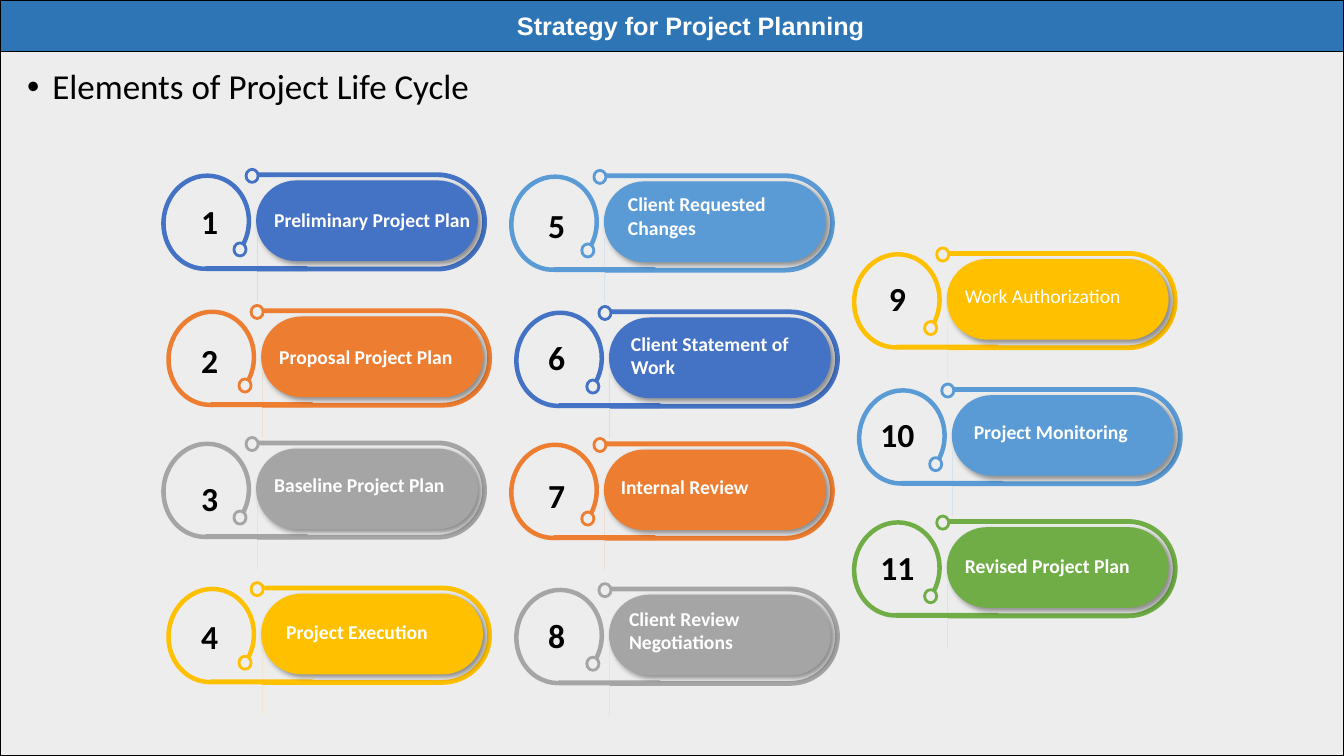
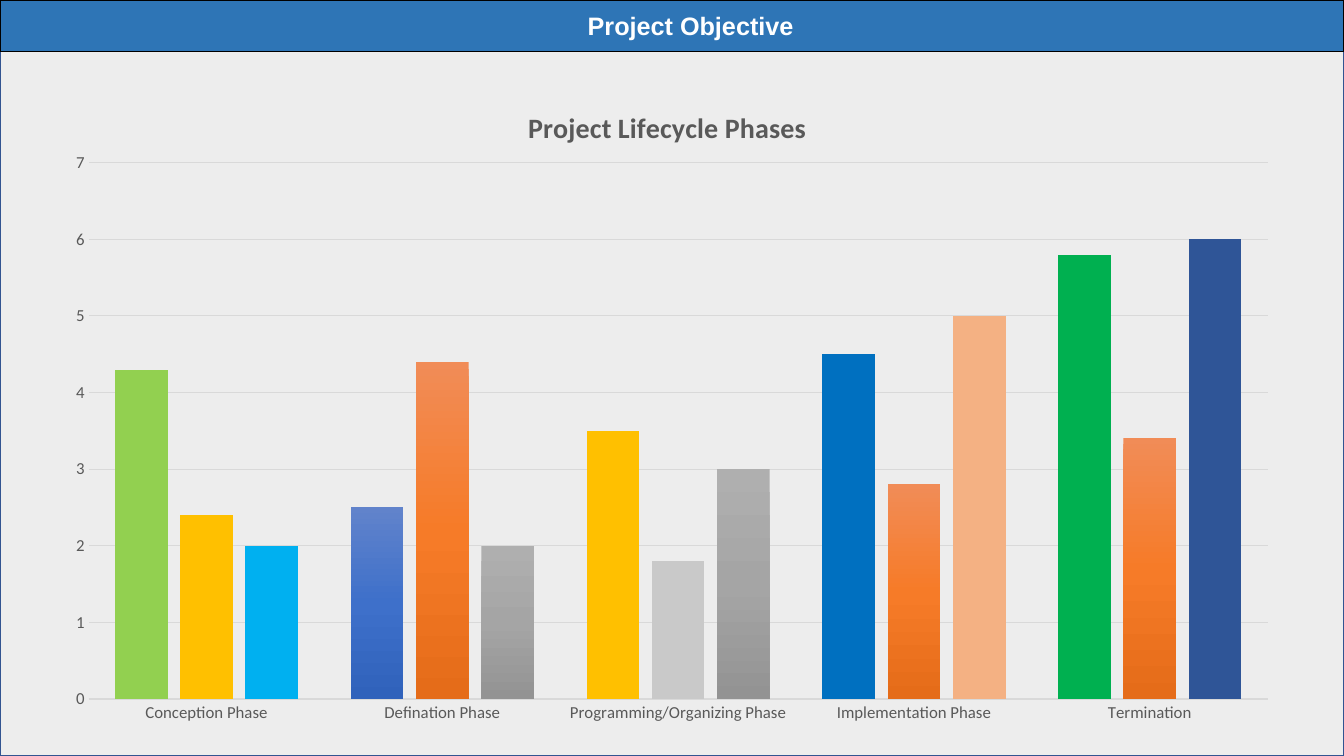
import pptx
import pptx.chart.data
import pptx.dml.color
import pptx.enum.chart
import pptx.enum.shapes
import pptx.enum.text
import pptx.oxml
import pptx.oxml.ns
import pptx.util

RGB = pptx.dml.color.RGBColor
SHAPE = pptx.enum.shapes.MSO_SHAPE
Inches, Pt = pptx.util.Inches, pptx.util.Pt

BLACK, WHITE = RGB(0, 0, 0), RGB(255, 255, 255)
PANEL = RGB.from_string("EDEDED")
BAND = RGB.from_string("2E75B6")
PANEL_EDGE = RGB.from_string("325491")
BLUE = RGB.from_string("4472C4")
ORANGE = RGB.from_string("ED7D31")
GRAY = RGB.from_string("A5A5A5")
GOLD = RGB.from_string("FFC000")
SKY = RGB.from_string("5B9BD5")
GREEN = RGB.from_string("70AD47")
CHART_TEXT = RGB.from_string("595959")
GRID = RGB.from_string("D9D9D9")
LIME = RGB.from_string("92D050")
COBALT = RGB.from_string("0070C0")
EMERALD = RGB.from_string("00B050")
SILVER = RGB.from_string("C9C9C9")
CYAN = RGB.from_string("00B0F0")
PEACH = RGB.from_string("F4B183")
NAVY = RGB.from_string("2F5597")

WIDTH, HEIGHT, BAND_HEIGHT = 13.33, 7.5, 0.51

STRATEGY_TITLE = "Strategy for Project Planning"
STRATEGY_TOPIC = "Elements of Project Life Cycle"
ROW_TOPS = (1.79, 3.14, 4.45, 5.89)
STAGGER = 0.05
# Each element: label, colour, label offset, number offset, bold
ELEMENT_COLUMNS = [
    (2.54, 0, 2.08, [
        ("Preliminary Project Plan", BLUE, (0.08, 0.22), 0.1, True),
        ("Proposal Project Plan", ORANGE, (0.08, 0.23), 0.13, True),
        ("Baseline Project Plan", GRAY, (0.08, 0.19), 0.19, True),
        ("Project Execution", GOLD, (0.15, 0.21), 0.12, True)]),
    (5.99, 0.01, 5.52, [
        ("Client Requested Changes", SKY, (0.14, 0.06), 0.13, True),
        ("Client Statement of Work", BLUE, (0.12, 0.09), 0.09, True),
        ("Internal Review", ORANGE, (0.07, 0.2), 0.15, True),
        ("Client Review Negotiations", GRAY, (0.1, 0.07), 0.1, True)]),
    (9.39, 0.78, 8.9, [
        ("Work Authorization", GOLD, (0.08, 0.2), 0.09, False),
        ("Project Monitoring", SKY, (0.12, 0.2), 0.09, True),
        ("Revised Project Plan", GREEN, (0.08, 0.22), 0.1, True)]),
]
RIM_PARTS = [
    (SHAPE.U_TURN_ARROW, (0.51, -0.58, 1.28, 2.28), 90, (0.037, 0.25, 0, 0.438, 1)),
    (SHAPE.BLOCK_ARC, (-0.94, -0.07, 0.89, 0.97), 8.6, (47.775, 12.701, 0.05)),
    (SHAPE.RECTANGLE, (-0.5, 0.85, 1.01, 0.05), 0, ()),
]
RIM_ENDS = [(-0.1, -0.11), (-0.22, 0.62)]

OBJECTIVE_TITLE = "Project Objective"
CHART_TITLE = "Project Lifecycle Phases"
PHASES = ["Conception Phase", "Defination Phase", "Programming/Organizing Phase",
          "Implementation Phase", "Termination"]
PHASE_SERIES = [
    ("Series 1", (4.3, 2.5, 3.5, 4.5, 5.8), ("6183CB", "3E70CA", "3062BB"),
     {0: LIME, 2: GOLD, 3: COBALT, 4: EMERALD}),
    ("Series 2", (2.4, 4.4, 1.8, 2.8, 3.4), ("F18C57", "F67B28", "E56C19"),
     {0: GOLD, 2: SILVER}),
    ("Series 3", (2, 2, 3, 5, 6), ("AFAFAF", "A5A5A5", "939393"),
     {0: CYAN, 3: PEACH, 4: NAVY}),
]


def place(part, left, top, width, height):
    part.left, part.top = Inches(left), Inches(top)
    part.width, part.height = Inches(width), Inches(height)


def style(font, size, color, bold=False, name="Calibri"):
    font.name, font.size, font.bold = name, Pt(size), bold
    font.color.rgb = color


def xml(tag, attributes="", inner="", prefix="a"):
    return pptx.oxml.parse_xml(
        f"<{prefix}:{tag} {pptx.oxml.ns.nsdecls('a', 'c')} {attributes}>"
        f"{inner}</{prefix}:{tag}>")


def add_part(slide, kind, box, fill=None, edge=None, weight=1):
    part = slide.shapes.add_shape(kind, *map(Inches, box))
    part.shadow.inherit = False
    if fill is None:
        part.fill.background()
    else:
        part.fill.solid()
        part.fill.fore_color.rgb = fill
    if edge is None:
        part.line.fill.background()
    else:
        part.line.color.rgb = edge
        part.line.width = Pt(weight)
    return part


def add_words(slide, words, box, size, color, bold=True, wrap=True, centred=False):
    frame = slide.shapes.add_textbox(*map(Inches, box)).text_frame
    frame.word_wrap = wrap
    frame.text = words
    style(frame.paragraphs[0].font, size, color, bold)
    if centred:
        frame.vertical_anchor = pptx.enum.text.MSO_ANCHOR.MIDDLE
        frame.paragraphs[0].alignment = pptx.enum.text.PP_ALIGN.CENTER


def add_titled_slide(deck, layout, heading, edge):
    slide = deck.slides.add_slide(deck.slide_layouts.get_by_name(layout))
    add_part(slide, SHAPE.RECTANGLE, (0, 0, WIDTH, HEIGHT), PANEL, edge)
    add_part(slide, SHAPE.RECTANGLE, (0, 0, WIDTH, BAND_HEIGHT), BAND, BLACK)
    title = slide.shapes.title
    place(title, 3.09, 0.05, 7.52, 0.41)
    title.text_frame.text = heading
    title.text_frame.vertical_anchor = pptx.enum.text.MSO_ANCHOR.MIDDLE
    title.text_frame.auto_size = pptx.enum.text.MSO_AUTO_SIZE.NONE
    title.text_frame.paragraphs[0].alignment = pptx.enum.text.PP_ALIGN.CENTER
    style(title.text_frame.paragraphs[0].font, 18, WHITE, True, "Arial")
    for holder in list(slide.placeholders):
        slide.shapes.element.append(holder.element)
    return slide


def add_element(slide, left, top, number, centre, element):
    label, color, (label_x, label_y), number_y, bold = element
    for kind, (x, y, width, height), turn, adjustments in RIM_PARTS:
        rim = add_part(slide, kind, (left + x, top + y, width, height), color)
        rim.rotation = turn
        for index, value in enumerate(adjustments):
            rim.adjustments[index] = value
    for x, y in RIM_ENDS:
        add_part(slide, SHAPE.OVAL, (left + x, top + y, 0.12, 0.13), edge=color, weight=2)
    pill = add_part(slide, SHAPE.ROUNDED_RECTANGLE, (left, top, 2.2, 0.8), color)
    pill.adjustments[0] = 0.5
    pill.element.spPr.find(pptx.oxml.ns.qn("a:effectLst")).append(xml(
        "outerShdw", f'blurRad="{Pt(4)}" dist="{Pt(3)}" dir="2700000" algn="tl" rotWithShape="0"',
        '<a:srgbClr val="000000"><a:alpha val="40000"/></a:srgbClr>'))
    add_words(slide, str(number), (centre - 0.3, top + number_y, 0.6, 0.6),
              24, BLACK, wrap=False, centred=True)
    add_words(slide, label, (left + label_x, top + label_y, 2.18, 0.4), 14, WHITE, bold)


def set_layout(owner, target, **shares):
    for old in owner.findall(pptx.oxml.ns.qn("c:layout")):
        owner.remove(old)
    modes = '<c:xMode val="edge"/><c:yMode val="edge"/>'
    if target:
        modes = f'<c:layoutTarget val="{target}"/>' + modes
    values = "".join(f'<c:{key} val="{share}"/>' for key, share in shares.items())
    layout = xml("layout", inner=f"<c:manualLayout>{modes}{values}</c:manualLayout>", prefix="c")
    owner.insert(0 if target else 1, layout)


def add_phase_chart(slide):
    data = pptx.chart.data.CategoryChartData()
    data.categories = PHASES
    for name, values, *_ in PHASE_SERIES:
        data.add_series(name, values)
    chart = slide.shapes.add_chart(
        pptx.enum.chart.XL_CHART_TYPE.COLUMN_CLUSTERED,
        *map(Inches, (0.51, 0.76, 12.31, 6.57)), data).chart
    style(chart.font, 10, BLACK)
    chart.has_legend = False
    chart.has_title = True
    chart.chart_title.text_frame.text = CHART_TITLE
    style(chart.chart_title.text_frame.paragraphs[0].font, 20, CHART_TEXT, True)
    set_layout(chart.chart_title.element if hasattr(chart.chart_title, "element")
               else chart.chart_title._element, None, x=0.38, y=0.04)
    set_layout(chart.plots[0]._element.getparent(), "inner", x=0.03, y=0.13, w=0.95, h=0.81)

    for axis in (chart.category_axis, chart.value_axis):
        axis.major_tick_mark = axis.minor_tick_mark = pptx.enum.chart.XL_TICK_MARK.NONE
        style(axis.tick_labels.font, 12, CHART_TEXT)
    chart.category_axis.format.line.color.rgb = GRID
    chart.category_axis.format.line.width = Pt(1)
    scale = chart.value_axis
    scale.minimum_scale, scale.maximum_scale, scale.major_unit = 0, 7, 1
    scale.format.line.fill.background()
    scale.major_gridlines.format.line.color.rgb = GRID
    scale.major_gridlines.format.line.width = Pt(0.75)

    columns = chart.plots[0]
    columns.gap_width, columns.overlap, columns.vary_by_categories = 100, -24, False
    for series, (_, _, shades, highlights) in zip(columns.series, PHASE_SERIES):
        series.invert_if_negative = False
        stops = "".join(f'<a:gs pos="{step * 50000}"><a:srgbClr val="{shade}"/></a:gs>'
                        for step, shade in enumerate(shades))
        series._element.get_or_add_spPr().append(xml(
            "gradFill", inner=f'<a:gsLst>{stops}</a:gsLst><a:lin ang="5400000" scaled="0"/>'))
        for index, color in highlights.items():
            fill = series.points[index].format.fill
            fill.solid()
            fill.fore_color.rgb = color


deck = pptx.Presentation()
deck.slide_width, deck.slide_height = Inches(WIDTH), Inches(HEIGHT)

strategy = add_titled_slide(deck, "Title and Content", STRATEGY_TITLE, BLACK)
topic = strategy.placeholders[1]
place(topic, 0.17, 0.64, 13, 0.64)
topic.text_frame.text = STRATEGY_TOPIC
topic.text_frame.auto_size = pptx.enum.text.MSO_AUTO_SIZE.NONE
topic_line = topic.text_frame.paragraphs[0]
style(topic_line.font, 25, BLACK)
topic_line.line_spacing, topic_line.space_before = 0.9, Pt(10)
topic_indent = topic_line._p.get_or_add_pPr()
topic_indent.set("marL", str(Inches(0.25)))
topic_indent.set("indent", str(Inches(-0.25)))

number = 0
for left, drop, centre, elements in ELEMENT_COLUMNS:
    for row, element in enumerate(elements):
        number += 1
        add_element(strategy, left + row % 2 * STAGGER, ROW_TOPS[row] + drop,
                    number, centre, element)

objective = add_titled_slide(deck, "Title Only", OBJECTIVE_TITLE, PANEL_EDGE)
add_phase_chart(objective)

deck.save("out.pptx")
